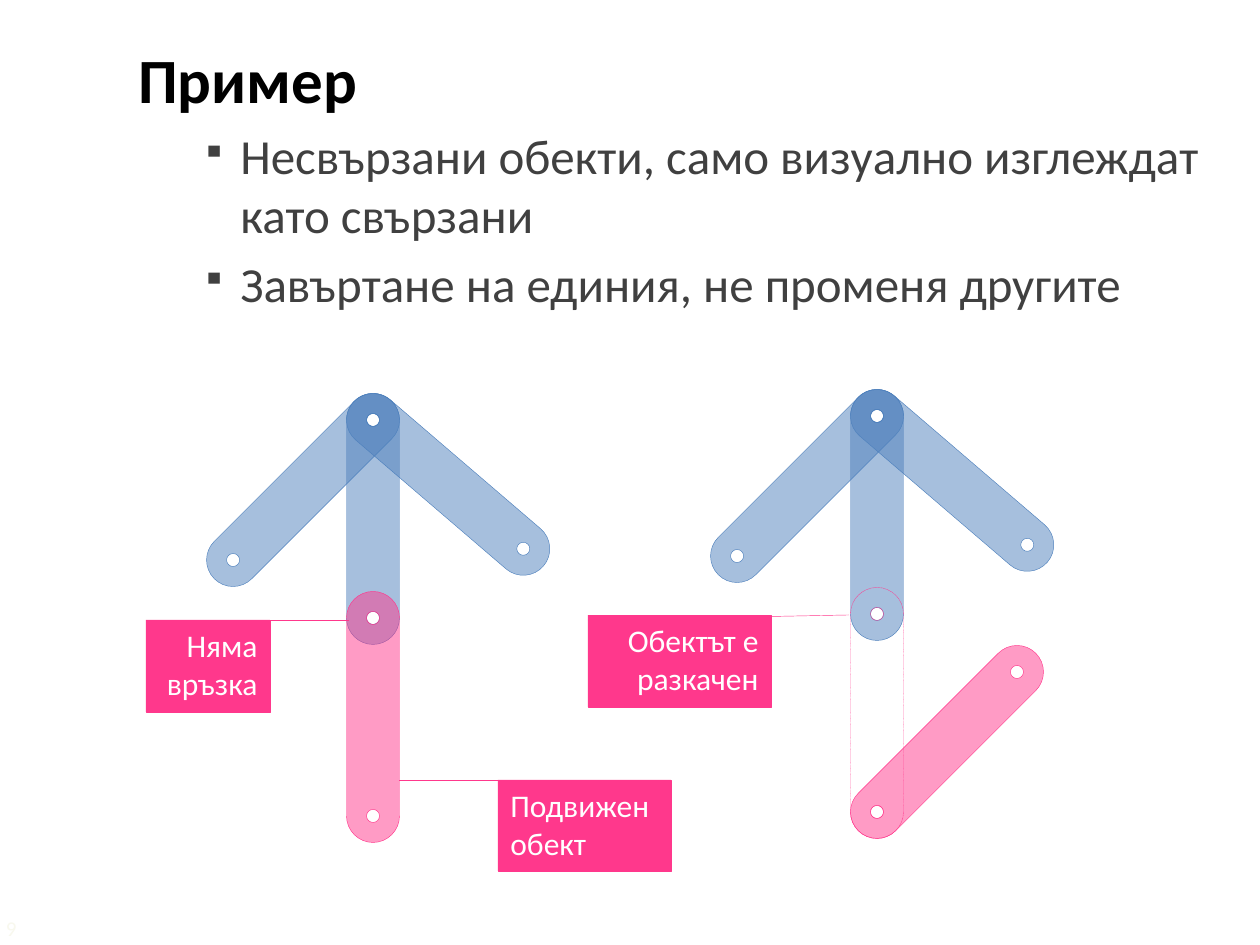
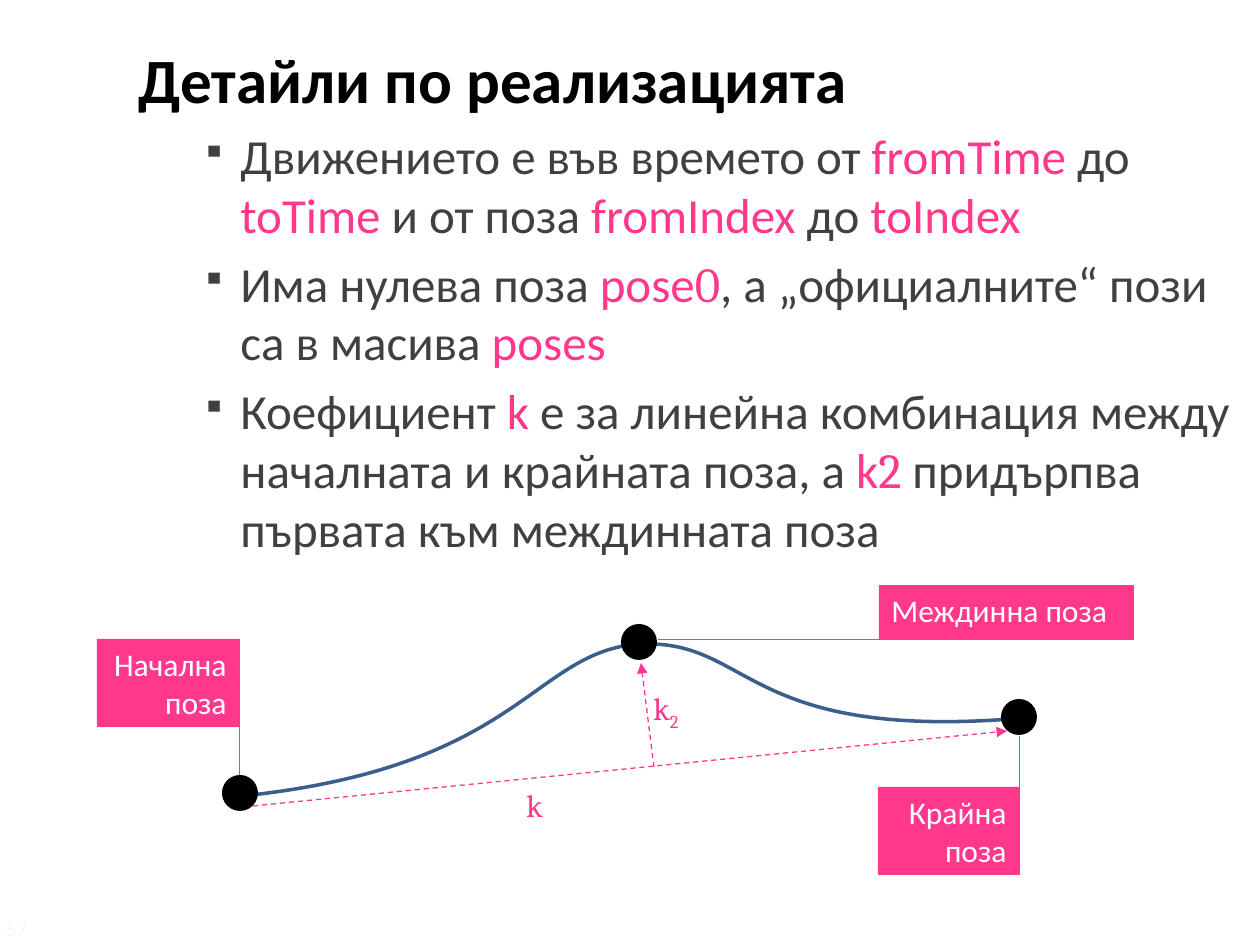
import math
from itertools import groupby

import pptx
import pptx.util
from lxml import etree
from pptx.dml.color import RGBColor
from pptx.enum.dml import MSO_LINE
from pptx.enum.shapes import MSO_CONNECTOR, MSO_SHAPE
from pptx.enum.text import MSO_ANCHOR, PP_ALIGN
from pptx.oxml.ns import qn

PX = 914400 / 126
BLACK = RGBColor(0x00, 0x00, 0x00)
WHITE = RGBColor(0xFF, 0xFF, 0xFF)
GREY = RGBColor(0x40, 0x40, 0x40)
PINK = RGBColor(0xFF, 0x38, 0x8C)
BLUE = RGBColor(0x4F, 0x81, 0xBD)
NAVY = RGBColor(0x3A, 0x5F, 0x8C)
FAINT = RGBColor(0xF8, 0xF8, 0xEE)

HAIRLINE = 0.25
ARM_WIDTH = 53
ARM_REACH = 198  # between the two holes of an arm
HOLE_WIDTH = 13
DOT = 36


def emu(*lengths):
    return [round(length * PX) for length in lengths]


def arc(x, y, radius, first, quarters):
    """Return the start point and the Bezier segments of an arc of quarter turns."""
    bend = 0.5523

    def point(angle, along, across):
        c, s = math.cos(math.radians(angle)), math.sin(math.radians(angle))
        return x + radius * (along * c - across * s), y + radius * (along * s + across * c)

    segments = [[point(angle, 1, bend), point(angle, bend, 1), point(angle, 0, 1)]
                for angle in range(first, first + 90 * quarters, 90)]
    return point(first, 1, 0), segments


class Slides:
    """The deck, its style and the page being drawn."""

    def __init__(self):
        self.deck = pptx.Presentation()
        self.deck.slide_width, self.deck.slide_height = emu(1260, 945)

    def new_page(self, number, title, bullets):
        self.page = self.deck.slides.add_slide(self.deck.slide_layouts[6])
        self.shapes = self.page.shapes
        self.body(title, bullets)
        frame = self.text_box(6, 916, 40, 24, str(number), 12, FAINT, "Calibri")
        frame.margin_left = frame.margin_top = 0

    def style(self, font, size, color, name="Calibri", bold=False):
        font.size = pptx.util.Pt(size)
        font.name = name
        font.bold = bold
        font.color.rgb = color

    def stroke(self, line, color, width=HAIRLINE, dash=None):
        line.color.rgb = color
        line.width = pptx.util.Pt(width)
        if dash:
            line.dash_style = dash

    def body(self, title, bullets):
        """Draw the title and bullets; every second part between bars is pink code."""
        frame = self.shapes.add_textbox(*emu(126, 34, 1124, 901)).text_frame
        frame.word_wrap = True
        frame.text = title
        self.style(frame.paragraphs[0].runs[0].font, 36, BLACK, bold=True)
        for bullet in bullets:
            para = frame.add_paragraph()
            para.space_before = pptx.util.Pt(5.6)
            self.add_bullet(para)
            for index, part in enumerate(bullet.split("|")):
                color = PINK if index % 2 else GREY
                for digits, letters in groupby(part, str.isdigit):
                    span = para.add_run()
                    span.text = "".join(letters)
                    self.style(span.font, 28, color, "Cambria" if digits else "Calibri")

    def add_bullet(self, para):
        indent, hanging = emu(102, -39)
        props = para._p.get_or_add_pPr()
        props.set("marL", str(indent))
        props.set("indent", str(hanging))
        color = etree.SubElement(props, qn("a:buClr"))
        etree.SubElement(color, qn("a:srgbClr")).set("val", str(GREY))
        etree.SubElement(props, qn("a:buSzPct")).set("val", "70000")
        etree.SubElement(props, qn("a:buChar")).set("char", "▪")

    def text_box(self, left, top, width, height, text, size, color, name):
        frame = self.shapes.add_textbox(*emu(left, top, width, height)).text_frame
        frame.word_wrap = False
        frame.text = text
        self.style(frame.paragraphs[0].runs[0].font, size, color, name)
        return frame

    def symbol(self, left, top, letter, subscript=""):
        frame = self.text_box(left, top, 54, 50, letter, 18, PINK, "Cambria")
        if subscript:
            span = frame.paragraphs[0].add_run()
            span.text = subscript
            self.style(span.font, 18, PINK, "Cambria")
            span._r.get_or_add_rPr().set("baseline", "-25000")

    def shape(self, kind, left, top, width, height, color):
        shape = self.shapes.add_shape(kind, *emu(left, top, width, height))
        shape.shadow.inherit = False
        shape.fill.solid()
        shape.fill.fore_color.rgb = color
        shape.line.fill.background()
        return shape

    def dot(self, left, top):
        self.shape(MSO_SHAPE.OVAL, left, top, DOT, DOT, BLACK)

    def callout(self, left, top, width, height, text, leader, align=PP_ALIGN.RIGHT):
        """Draw a pink label and its leader line, given as two end points."""
        box = self.shape(MSO_SHAPE.RECTANGLE, left, top, width, height, PINK)
        self.stroke(box.line, PINK)
        frame = box.text_frame
        frame.word_wrap = True
        frame.vertical_anchor = MSO_ANCHOR.TOP
        frame.text = text
        para = frame.paragraphs[0]
        para.alignment = align
        self.style(para.runs[0].font, 18, WHITE)
        self.line(*leader)

    def line(self, x1, y1, x2, y2, width=HAIRLINE, dash=None):
        line = self.shapes.add_connector(MSO_CONNECTOR.STRAIGHT, *emu(x1, y1, x2, y2))
        self.stroke(line.line, PINK, width, dash)
        etree.SubElement(line._element.spPr, qn("a:effectLst"))
        return line

    def arrow(self, x1, y1, x2, y2):
        line = self.line(x1, y1, x2, y2, 0.75, MSO_LINE.DASH)
        tail = etree.SubElement(line.line._get_or_add_ln(), qn("a:tailEnd"))
        tail.set("type", "triangle")

    def outline(self, contours, closed):
        """Draw contours of (start, segments); a segment of three points is a curve."""
        builder = self.shapes.build_freeform(*emu(*contours[0][0]), scale=1.0)
        for index, (start, segments) in enumerate(contours):
            if index:
                builder.move_to(*emu(*start))
            points = [emu(*point) for segment in segments for point in segment]
            builder.add_line_segments(points, close=closed)
        shape = builder.convert_to_shape()
        shape.shadow.inherit = False
        shape.fill.background()
        lines = iter(list(shape._element.iter(qn("a:lnTo"))))
        for _, segments in contours:
            for segment in segments:
                first, *others = [next(lines) for _ in segment]
                if others:
                    first.tag = qn("a:cubicBezTo")
                for other in others:
                    first.append(other[0])
                    other.getparent().remove(other)
        return shape

    def arm(self, joint_x, joint_y, angle, color, ghost=False):
        """Draw a bar with two holes that starts at a joint and points at an angle."""
        half, radius = ARM_REACH / 2, ARM_WIDTH / 2
        x = joint_x + half * math.cos(math.radians(angle))
        y = joint_y + half * math.sin(math.radians(angle))
        start, right_cap = arc(x + half, y, radius, -90, 2)
        left_start, left_cap = arc(x - half, y, radius, 90, 2)
        holes = [arc(x + side, y, HOLE_WIDTH / 2, 0, 4) for side in (-half, half)]
        bar = (start, right_cap + [[left_start]] + left_cap)
        shape = self.outline([bar] + holes, closed=True)
        shape.rotation = angle
        self.stroke(shape.line, color, dash=MSO_LINE.ROUND_DOT if ghost else None)
        if not ghost:
            shape.fill.solid()
            shape.fill.fore_color.rgb = color
            tint = shape._element.spPr.find(qn("a:solidFill"))[0]
            etree.SubElement(tint, qn("a:alpha")).set("val", "50000")

    def blue_arms(self, x, y):
        for angle in (90, 135, 40.6):
            self.arm(x, y, angle, BLUE)


def draw_example(slides):
    slides.new_page(9, "Пример", [
        "Несвързани обекти, само визуално изглеждат като свързани",
        "Завъртане на единия, не променя другите",
    ])
    slides.blue_arms(373, 420)
    slides.arm(373, 420 + ARM_REACH, 90, PINK)

    slides.blue_arms(877, 416)
    slides.arm(877, 416 + ARM_REACH, 90, PINK, ghost=True)
    slides.arm(877, 416 + 2 * ARM_REACH, -45, PINK)

    slides.callout(146, 620, 124, 92, "Няма връзка", (146, 620, 349, 620))
    slides.callout(588, 615, 183, 92, "Обектът е разкачен", (588, 620, 849, 615))
    slides.callout(498, 780, 173, 91, "Подвижен обект", (399, 780, 671, 780), PP_ALIGN.LEFT)


def draw_details(slides):
    slides.new_page(57, "Детайли по реализацията", [
        "Движението е във времето от |fromTime| до |toTime| и от поза |fromIndex| до |toIndex",
        "Има нулева поза |pose0|, а „официалните“ пози са в масива |poses",
        "Коефициент |k| е за линейна комбинация между началната и крайната поза, "
        "а |k2| придърпва първата към междинната поза",
    ])
    motion = [[(514, 765), (532, 659), (630, 645)], [(751, 633), (735, 740), (1012, 719)]]
    curve = slides.outline([((252, 795), motion)], closed=False)
    slides.stroke(curve.line, NAVY, 2)

    slides.arrow(253, 806, 1007, 731)
    slides.symbol(514, 780, "k")
    for left, top in ((222, 775), (621, 624), (1001, 699)):
        slides.dot(left, top)
    slides.arrow(654, 767, 641, 663)
    slides.symbol(641, 683, "k", "2")

    slides.callout(97, 639, 142, 87, "Начална поза", (239, 639, 239, 775))
    slides.callout(878, 787, 141, 87, "Крайна поза", (1019, 736, 1019, 873))
    slides.callout(879, 585, 254, 54, "Междинна поза", (658, 639, 1133, 639), PP_ALIGN.LEFT)


def main():
    slides = Slides()
    draw_example(slides)
    draw_details(slides)
    slides.deck.save("out.pptx")


if __name__ == "__main__":
    main()
